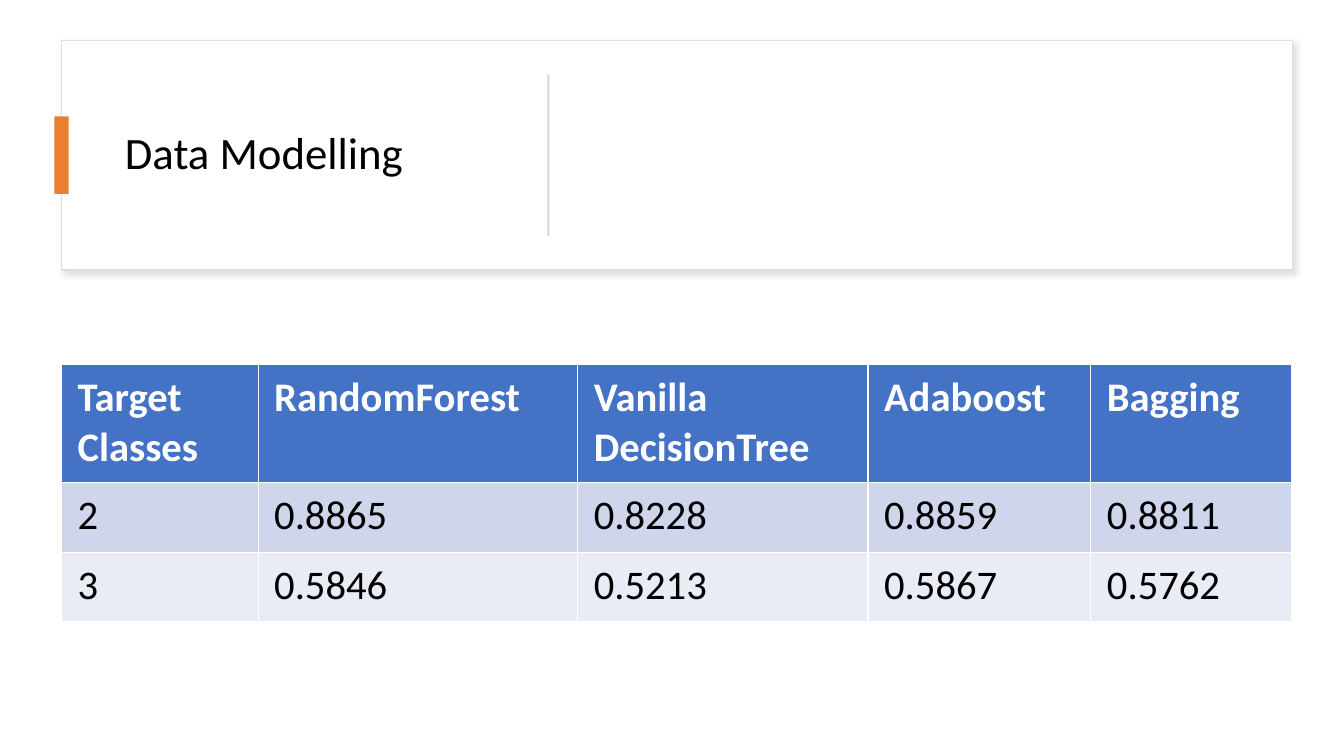
from lxml import etree
from pptx import Presentation
from pptx.dml.color import RGBColor
from pptx.enum.shapes import MSO_SHAPE
from pptx.enum.text import MSO_ANCHOR
from pptx.oxml.ns import qn
from pptx.util import Inches, Pt

RECTANGLE = MSO_SHAPE.RECTANGLE
MIDDLE = MSO_ANCHOR.MIDDLE

TITLE = "Data Modelling"
ROWS = [
    ("Target Classes", "RandomForest", "Vanilla DecisionTree", "Adaboost", "Bagging"),
    ("2", "0.8865", "0.8228", "0.8859", "0.8811"),
    ("3", "0.5846", "0.5213", "0.5867", "0.5762"),
]
ROW_STYLES = [("4472C4", "FFFFFF", True), ("CFD5EA", "000000", False), ("E9EBF5", "000000", False)]
COLUMN_WIDTHS = [1.95, 3.17, 2.88, 2.21, 1.99]
ROW_HEIGHTS = [1.17, 0.69, 0.69]
FONT = "Calibri"
LEFT, WIDTH = 0.61, 12.21
CARD_TOP, CARD_HEIGHT = 0.4, 2.28
CARD_MIDDLE = CARD_TOP + CARD_HEIGHT / 2
TABLE_TOP = 3.62


def color(value):
    return RGBColor.from_string(value)


def place(left, top, width, height):
    return [Inches(length) for length in (left, top, width, height)]


def style_text(para, size, value, bold=False):
    for span in para.runs:
        span.font.name = FONT
        span.font.size = Pt(size)
        span.font.bold = bold
        span.font.color.rgb = color(value)


def add_block(page, center, width, height, fill, line=None):
    box = page.shapes.add_shape(
        RECTANGLE, *place(center - width / 2, CARD_MIDDLE - height / 2, width, height))
    box.shadow.inherit = False
    box.fill.solid()
    box.fill.fore_color.rgb = color(fill)
    if line:
        box.line.color.rgb = color(line)
        box.line.width = Pt(1)
    else:
        box.line.fill.background()
    return box


def add_shadow(box, value, opacity, blur, distance, angle):
    effects = box._element.spPr.find(qn("a:effectLst"))
    shadow = etree.SubElement(
        effects, qn("a:outerShdw"), blurRad=str(Pt(blur)), dist=str(Pt(distance)),
        dir=str(angle * 60000), algn="tl", rotWithShape="0")
    tint = etree.SubElement(shadow, qn("a:srgbClr"), val=value)
    etree.SubElement(tint, qn("a:alpha"), val=str(opacity * 1000))


def add_title(page):
    box = page.shapes.add_textbox(*place(1.14, CARD_MIDDLE - 0.9, 3.89, 1.8))
    frame = box.text_frame
    frame.word_wrap = True
    frame.vertical_anchor = MIDDLE
    frame.text = TITLE
    frame.paragraphs[0].line_spacing = 0.9
    style_text(frame.paragraphs[0], 32, "000000")


def add_scores(page):
    table = page.shapes.add_table(
        len(ROWS), len(COLUMN_WIDTHS), *place(LEFT, TABLE_TOP, WIDTH, sum(ROW_HEIGHTS))).table
    for column, width in zip(table.columns, COLUMN_WIDTHS):
        column.width = Inches(width)
    for row, height, texts, (fill, ink, bold) in zip(table.rows, ROW_HEIGHTS, ROWS, ROW_STYLES):
        row.height = Inches(height)
        for cell, text in zip(row.cells, texts):
            cell.margin_left = cell.margin_right = Inches(0.16)
            cell.margin_top = cell.margin_bottom = Inches(0.08)
            cell.fill.solid()
            cell.fill.fore_color.rgb = color(fill)
            cell.text_frame.text = text
            style_text(cell.text_frame.paragraphs[0], 29, ink, bold)


def main():
    """Build the model comparison slide."""
    deck = Presentation()
    deck.slide_width, deck.slide_height = Inches(13.33), Inches(7.5)
    page = deck.slides.add_slide(deck.slide_layouts[6])
    card = add_block(page, LEFT + WIDTH / 2, WIDTH, CARD_HEIGHT, "FFFFFF", "DEDEDE")
    add_shadow(card, "C5C3C3", 50, 4, 3, 45)
    add_title(page)
    add_block(page, LEFT, 0.14, 0.77, "ED7D31")
    add_block(page, 5.44, 0.02, 1.6, "D5D5D5")
    add_scores(page)
    deck.save("out.pptx")


if __name__ == "__main__":
    main()
